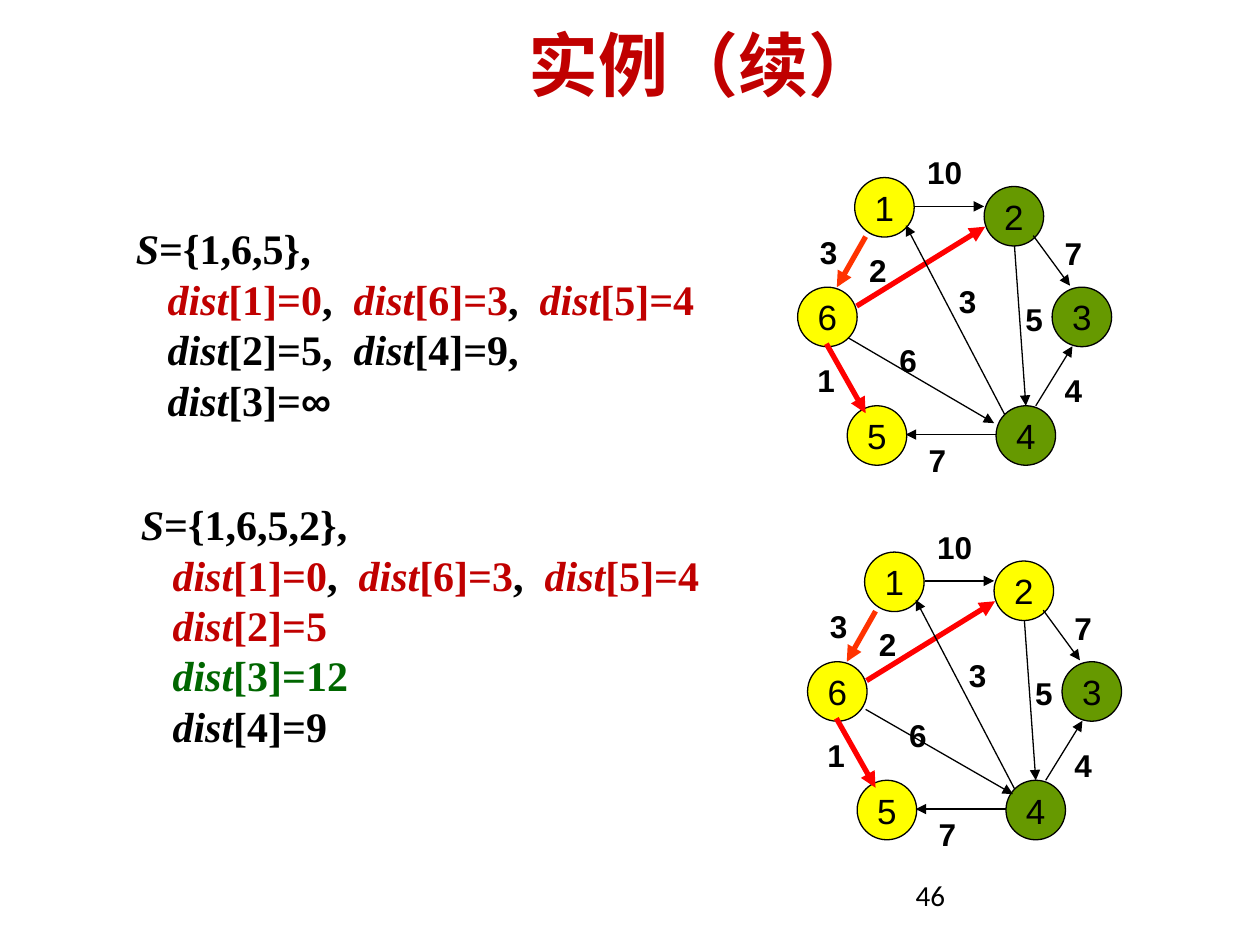
"""Build a slide that follows two steps of a shortest-path search on a directed graph."""
from lxml import etree
from pptx import Presentation
from pptx.dml.color import RGBColor
from pptx.enum.shapes import MSO_CONNECTOR, MSO_SHAPE
from pptx.enum.text import MSO_ANCHOR, PP_ALIGN
from pptx.oxml.ns import qn
from pptx.util import Cm, Pt

STRAIGHT = MSO_CONNECTOR.STRAIGHT
OVAL = MSO_SHAPE.OVAL
MIDDLE = MSO_ANCHOR.MIDDLE
CENTER = PP_ALIGN.CENTER

BLACK, CRIMSON, DARK_GREEN = "000000", "C00000", "006600"
RED, ORANGE, YELLOW, OLIVE = "FF0000", "FF3300", "FFFF00", "669900"
SERIF, SANS, BODY = "Times New Roman", "Arial", "Calibri"
SYMBOL_FONTS = {"∞": SANS}

TITLE = "实例（续）"
PAGE_NUMBER = "46"

KNOWN = [("dist", "[1]=0", CRIMSON), ("dist", "[6]=3", CRIMSON), ("dist", "[5]=4", CRIMSON)]
STEPS = [
    {
        "frame": (2.49, 4.37, 12.4, 4.32),
        "lines": [
            ([("S", "={1,6,5}", BLACK)], ","),
            (KNOWN, ""),
            ([("dist", "[2]=5", BLACK), ("dist", "[4]=9", BLACK)], ","),
            ([("dist", "[3]=", BLACK)], "∞"),
        ],
        "origin": (16.08, 2.97),
        "settled": "165",
        "long_edge": (1.02, 3.84, 3.96, 5.56),
    },
    {
        "frame": (2.59, 9.93, 12.7, 6.35),
        "lines": [
            ([("S", "={1,6,5,2}", BLACK)], ","),
            (KNOWN, ""),
            ([("dist", "[2]=5", CRIMSON)], ""),
            ([("dist", "[3]=12", DARK_GREEN)], ""),
            ([("dist", "[4]=9", BLACK)], ""),
        ],
        "origin": (16.28, 10.52),
        "settled": "1652",
        "long_edge": (1.17, 3.78, 4.14, 5.49),
    },
]
TAB_STOPS = (0.64, 4.39, 8.14)

NODE_SIZE = 1.2
NODES = {
    "1": (1.15, 0.61), "2": (3.76, 0.79), "3": (5.13, 2.82),
    "4": (4, 5.21), "5": (1, 5.21), "6": (0, 2.82),
}
EDGES = [
    ((2.36, 1.19, 3.76, 1.19), BLACK),
    ((1.37, 1.8, 0.79, 2.82), ORANGE),
    ((4.75, 1.78, 5.49, 2.79), BLACK),
    ((4.8, 5.21, 5.54, 4.01), BLACK),
    ((0.58, 3.96, 1.37, 5.36), RED),
    ((3.99, 5.79, 2.18, 5.79), BLACK),
    ((1.19, 3.2, 3.78, 1.6), RED),
    ((4.17, 5.38, 2.18, 1.57), BLACK),
    ((4.37, 1.98, 4.6, 5.21), BLACK),
]
WEIGHTS = [
    ("10", 2.36, 0), ("3", 0.2, 1.6), ("2", 1.19, 1.96), ("7", 5.13, 1.63),
    ("3", 3, 2.59), ("5", 4.34, 2.95), ("6", 1.8, 3.78), ("1", 0.15, 4.19),
    ("4", 5.13, 4.39), ("7", 2.39, 5.79),
]


def color(code):
    return RGBColor.from_string(code)


def style(font, name, size, code=BLACK, bold=False):
    font.name, font.size, font.bold = name, Pt(size), bold
    font.color.rgb = color(code)


def add_box(page, frame):
    box = page.shapes.add_textbox(*map(Cm, frame))
    box.text_frame.word_wrap = True
    return box.text_frame


def add_label(page, frame, text, *font):
    body = add_box(page, frame)
    body.text = text
    para = body.paragraphs[0]
    style(para.font, *font)
    return body, para


def set_tabs(para):
    tabs = etree.SubElement(para._p.get_or_add_pPr(), qn("a:tabLst"))
    for stop in TAB_STOPS:
        etree.SubElement(tabs, qn("a:tab"), pos=str(Cm(stop)), algn="l")


def add_span(para, text, code, italic=False, name=SERIF):
    span = para.add_run()
    span.text = text
    style(span.font, name, 24, code, True)
    span.font.italic = italic


def add_distances(page, frame, lines):
    body = add_box(page, frame)
    for row, (entries, ending) in enumerate(lines):
        para = body.add_paragraph() if row else body.paragraphs[0]
        set_tabs(para)
        if row:
            add_span(para, "\t", BLACK)
        for column, (name, value, code) in enumerate(entries):
            if column:
                add_span(para, ",\t", BLACK)
            add_span(para, name, code, True)
            add_span(para, value, code)
        if ending:
            add_span(para, ending, BLACK, name=SYMBOL_FONTS.get(ending, SERIF))


def add_node(page, name, left, top, fill):
    node = page.shapes.add_shape(OVAL, Cm(left), Cm(top), Cm(NODE_SIZE), Cm(NODE_SIZE))
    node.shadow.inherit = False
    node.fill.solid()
    node.fill.fore_color.rgb = color(fill)
    node.line.color.rgb = color(BLACK)
    node.line.width = Pt(0.75)
    body = node.text_frame
    body.word_wrap = False
    body.vertical_anchor = MIDDLE
    body.text = name
    para = body.paragraphs[0]
    para.alignment = CENTER
    style(para.font, SANS, 20)


def add_edge(page, ends, code):
    edge = page.shapes.add_connector(STRAIGHT, *map(Cm, ends))
    edge.line.color.rgb = color(code)
    edge.line.width = Pt(0.75 if code == BLACK else 3)
    etree.SubElement(edge.line._get_or_add_ln(), qn("a:tailEnd"), type="triangle")
    etree.SubElement(edge._element.spPr, qn("a:effectLst"))


def add_graph(page, origin, settled, long_edge):
    x, y = origin
    for name, (left, top) in NODES.items():
        add_node(page, name, x + left, y + top, YELLOW if name in settled else OLIVE)
    for (x1, y1, x2, y2), code in EDGES + [(long_edge, BLACK)]:
        add_edge(page, (x + x1, y + y1, x + x2, y + y2), code)
    for text, left, top in WEIGHTS:
        add_label(page, (x + left, y + top, 1.4, 1.02), text, SANS, 18, BLACK, True)


def main():
    deck = Presentation()
    deck.slide_width, deck.slide_height = Cm(25.4), Cm(19.05)
    page = deck.slides.add_slide(deck.slide_layouts[6])
    body, para = add_label(page, (1.27, 0.41, 22.86, 1.75), TITLE, BODY, 40, CRIMSON, True)
    body.margin_left = Cm(3.2)
    body.vertical_anchor = MIDDLE
    para.alignment = CENTER
    for step in STEPS:
        add_distances(page, step["frame"], step["lines"])
        add_graph(page, step["origin"], step["settled"], step["long_edge"])
    body, para = add_label(page, (18.21, 17.65, 5.92, 1.02), PAGE_NUMBER, BODY, 16.6)
    para.line_spacing = 0.9
    deck.save("out.pptx")


if __name__ == "__main__":
    main()
